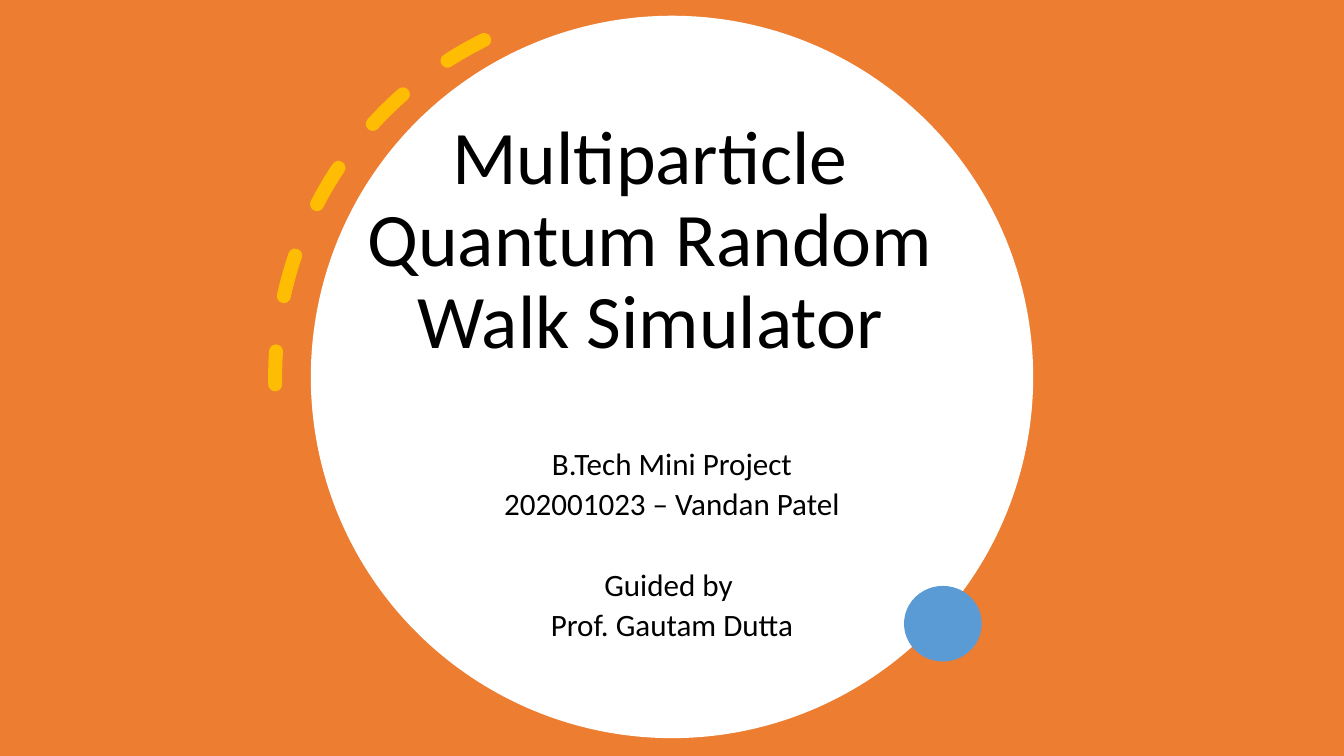
from lxml import etree
from pptx import Presentation
from pptx.dml.color import RGBColor
from pptx.enum.dml import MSO_LINE as Dash
from pptx.enum.shapes import MSO_SHAPE as Kind
from pptx.enum.text import MSO_ANCHOR as Anchor, MSO_AUTO_SIZE as Fit, PP_ALIGN as Align
from pptx.oxml.ns import qn
from pptx.util import Emu, Pt

ORANGE = RGBColor(0xED, 0x7D, 0x31)
WHITE = RGBColor(0xFF, 0xFF, 0xFF)
BLACK = RGBColor(0, 0, 0)
GOLD = RGBColor(0xFF, 0xC0, 0x00)
BLUE = RGBColor(0x5B, 0x9B, 0xD5)
SCALE = 9525
WIDE, HIGH = 1280, 720


def px(num):
    return Emu(num * SCALE)


def apply(item, form):
    for key, value in form.items():
        setattr(item, key, value)


class Deck:
    face = "Calibri"

    def __init__(self):
        self.show = Presentation()
        apply(self.show, {"slide_width": px(WIDE), "slide_height": px(HIGH)})
        self.slide = self.show.slides.add_slide(self.show.slide_layouts[0])

    def shape(self, kind, box, fill):
        item = self.slide.shapes.add_shape(kind, *map(px, box))
        item.shadow.inherit = False
        item.fill.solid()
        item.fill.fore_color.rgb = fill
        item.line.fill.background()

    def arc(self, box, turn, ends, color, width):
        """Draw a dashed, round-capped arc, mirrored top to bottom."""
        item = self.slide.shapes.add_shape(Kind.ARC, *map(px, box))
        item.shadow.inherit = False
        item.fill.background()
        for spot, end in enumerate(ends):
            item.adjustments[spot] = end
        item.rotation = turn
        item._element.spPr.find(qn("a:xfrm")).set("flipV", "1")
        item.line.color.rgb = color
        apply(item.line, {"width": Pt(width), "dash_style": Dash.DASH})
        line = item._element.spPr.find(qn("a:ln"))
        line.set("cap", "rnd")
        tint = line.find(".//" + qn("a:srgbClr"))
        etree.SubElement(tint, qn("a:alpha")).set("val", "95000")

    def text(self, spot, box, paras, size, pitch, anchor):
        """Fill a placeholder with (text, space before) pairs and bring it to the front."""
        item = self.slide.placeholders[spot]
        apply(item, dict(zip(("left", "top", "width", "height"), map(px, box))))
        self.slide.shapes._spTree.append(item._element)
        frame = item.text_frame
        apply(frame, {"word_wrap": True, "auto_size": Fit.NONE, "vertical_anchor": anchor})
        frame.text = "\n".join(words for words, gap in paras)
        for para, (words, gap) in zip(frame.paragraphs, paras):
            apply(para, {"alignment": Align.CENTER, "line_spacing": pitch,
                         "space_before": Pt(gap)})
            for run in para.runs:
                apply(run.font, {"name": self.face, "size": Pt(size)})
                run.font.color.rgb = BLACK


def main():
    deck = Deck()
    deck.shape(Kind.RECTANGLE, (0, 0, WIDE, HIGH), ORANGE)
    deck.shape(Kind.OVAL, (296, 15, 688, 688), WHITE)
    deck.text(0, (327, 88, 584, 264),
              [("Multiparticle Quantum Random Walk Simulator", 0)], 54, 0.9, Anchor.BOTTOM)
    deck.text(1, (348, 428, 584, 204),
              [("B.Tech Mini Project", 0), ("202001023 – Vandan Patel", 10),
               ("Guided by ", 39), ("Prof. Gautam Dutta", 10)], 22.2, 0.7, Anchor.TOP)
    deck.arc((262, 1, 715, 715), 153.7, (162, 200.93), GOLD, 10)
    deck.shape(Kind.OVAL, (861, 558, 74, 72), BLUE)
    deck.show.save("out.pptx")


if __name__ == "__main__":
    main()
